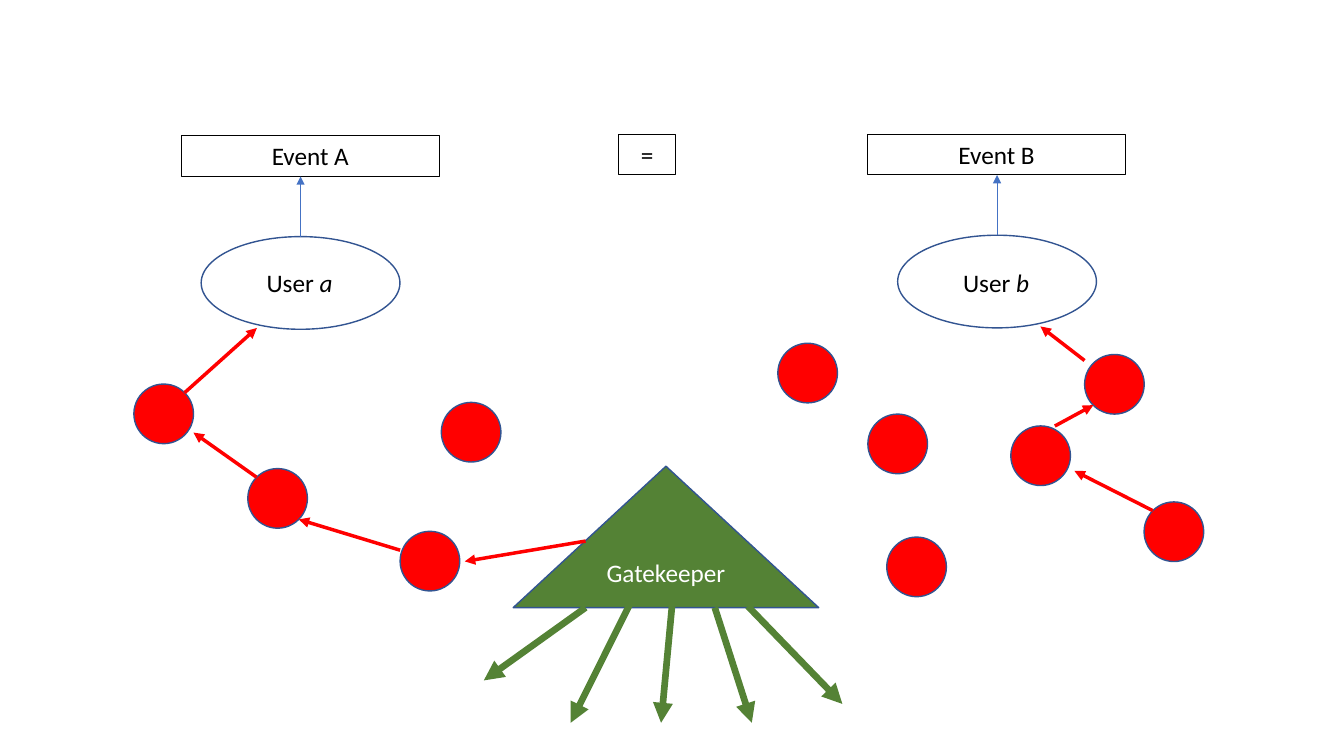
from lxml.etree import SubElement
from pptx import Presentation
from pptx.dml.color import RGBColor
from pptx.enum.shapes import MSO_CONNECTOR as CONN, MSO_SHAPE as SHAPE
from pptx.enum.text import MSO_ANCHOR as ANCHOR, PP_ALIGN as ALIGN
from pptx.oxml.ns import qn
from pptx.util import Pt

COLORS = {
    "black": "000000", "white": "FFFFFF", "red": "FF0000",
    "green": "548235", "blue": "4472C4", "outline": "325491",
}


class Diagram:
    font, size = "Calibri", 18

    def __init__(self, slide):
        self.slide = slide

    def color(self, name):
        return RGBColor.from_string(COLORS[name])

    def shape(self, kind, x, y, w, h, fill=None, line="outline", weight=1):
        s = self.slide.shapes.add_shape(kind, Pt(x), Pt(y), Pt(w), Pt(h))
        s.shadow.inherit = False
        if fill:
            s.fill.solid()
            s.fill.fore_color.rgb = self.color(fill)
        else:
            s.fill.background()
        s.line.color.rgb = self.color(line)
        s.line.width = Pt(weight)
        return s

    def label(self, s, runs, color="black", align=ALIGN.CENTER, anchor=ANCHOR.TOP):
        """Fill a shape with one paragraph of (text, italic) runs."""
        tf = s.text_frame
        tf.vertical_anchor = anchor
        p = tf.paragraphs[0]
        p.alignment = align
        for text, italic in runs:
            r = p.add_run()
            r.text = text
            r.font.name, r.font.size = self.font, Pt(self.size)
            r.font.italic = italic
            r.font.color.rgb = self.color(color)

    def box(self, text, x, y, w):
        s = self.shape(SHAPE.RECTANGLE, x, y, w, 29, line="black", weight=0.75)
        self.label(s, [(text, False)])

    def user(self, name, x, y):
        self.shape(SHAPE.OVAL, x, y, 142, 66.2)
        s = self.slide.shapes.add_textbox(Pt(x + 39.6), Pt(187.2), Pt(62), Pt(29))
        s.text_frame.word_wrap = False
        self.label(s, [("User ", False), (name, True)], align=ALIGN.LEFT)

    def node(self, x, y):
        self.shape(SHAPE.OVAL, x, y, 42.6, 42.6, fill="red")

    def arrow(self, x1, y1, x2, y2, color, weight):
        c = self.slide.shapes.add_connector(
            CONN.STRAIGHT, Pt(x1), Pt(y1), Pt(x2), Pt(y2))
        c.line.color.rgb = self.color(color)
        c.line.width = Pt(weight)
        ln = c._element.spPr.find(qn("a:ln"))
        SubElement(ln, qn("a:tailEnd"), type="triangle")
        SubElement(c._element.spPr, qn("a:effectLst"))


def main():
    prs = Presentation()
    prs.slide_width, prs.slide_height = Pt(960), Pt(540)
    d = Diagram(prs.slides.add_slide(prs.slide_layouts[6]))

    # Events
    d.box("Event A", 129.4, 97, 184.5)
    d.box("Event B", 619.6, 96, 184.5)
    d.box("=", 442, 96, 40.4)

    # Users, each linked to the event above
    for name, x, y in [("a", 143.7, 169), ("b", 641.2, 168)]:
        d.user(name, x, y)
        d.arrow(x + 71, y, x + 71, y - 43, "blue", 0.5)

    # Nodes
    for x, y in [(95.6, 274.3), (315.2, 287.4), (177, 334.7), (285.8, 379.5),
                 (555.6, 245.2), (619.9, 295.8), (774.7, 253.2),
                 (722, 304.2), (817.2, 358.5), (633.4, 383.6)]:
        d.node(x, y)

    # Gatekeeper
    s = d.shape(SHAPE.ISOSCELES_TRIANGLE, 366.6, 333, 218.2, 101, fill="green")
    d.label(s, [("Gatekeeper", False)], color="white", anchor=ANCHOR.MIDDLE)

    # Paths from node to node up to the users
    for ends in [(131.8, 280.6, 183.5, 234.3), (183.3, 340.9, 138.2, 309),
                 (285.8, 393, 213.4, 371), (418.3, 386.5, 332, 401),
                 (774.7, 257.5, 743.2, 233.2), (753.5, 304.3, 781, 289.4),
                 (823.5, 364.8, 767.5, 336.4)]:
        d.arrow(*ends, "red", 2.5)

    # Paths leaving the gatekeeper
    for ends in [(418.3, 434, 345.6, 486), (480, 433, 472.2, 516.3),
                 (534.2, 433, 601.7, 502.8), (510.6, 434, 537, 516.3),
                 (450, 431.4, 407.6, 516.3)]:
        d.arrow(*ends, "green", 4.75)

    prs.save("out.pptx")


if __name__ == "__main__":
    main()
